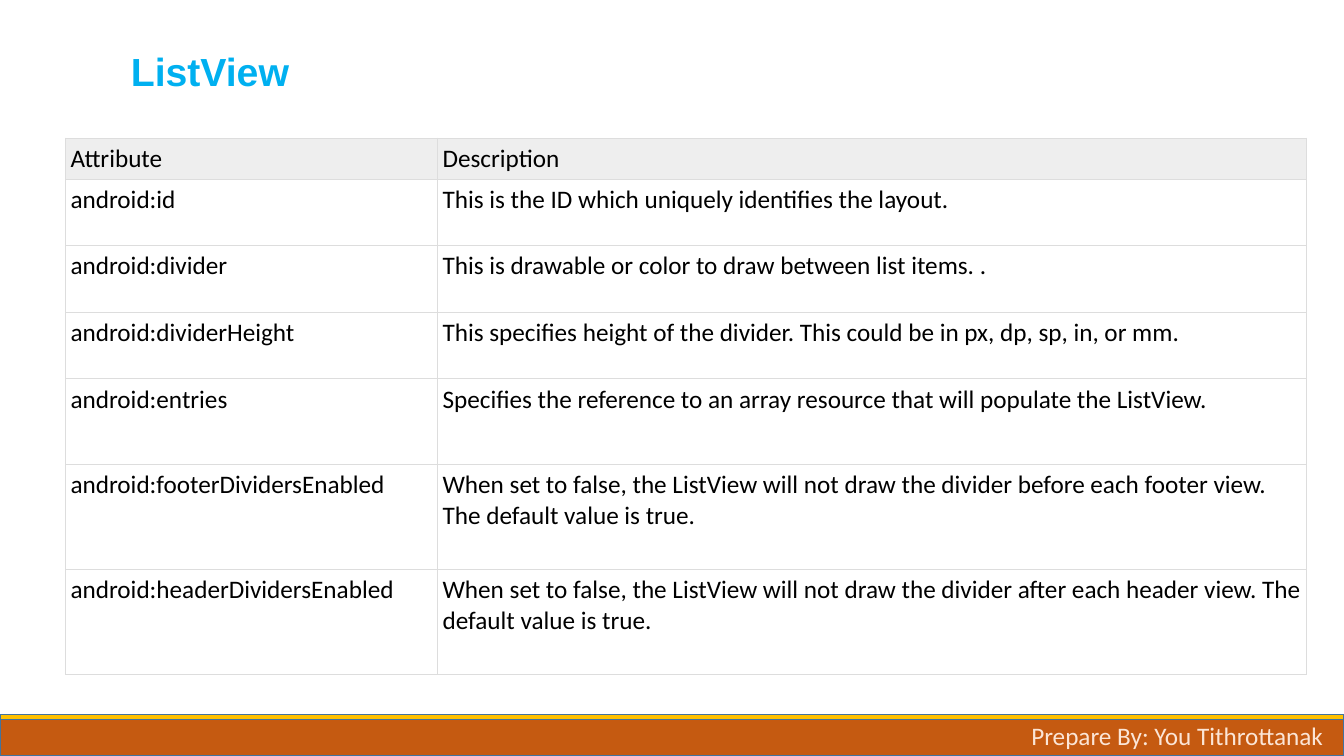
from lxml.etree import SubElement
from pptx import Presentation
from pptx.dml.color import RGBColor
from pptx.enum.shapes import MSO_SHAPE as Shape
from pptx.enum.text import MSO_ANCHOR as Anchor
from pptx.oxml.ns import qn
from pptx.util import Inches, Pt

SKY = RGBColor(0x00, 0xB0, 0xF0)
BLACK = RGBColor(0x00, 0x00, 0x00)
HEADER_GREY = RGBColor(0xEE, 0xEE, 0xEE)
BORDER_GREY = RGBColor(0xDD, 0xDD, 0xDD)
RUST = RGBColor(0xC5, 0x5A, 0x11)
GOLD = RGBColor(0xFF, 0xC0, 0x00)
OUTLINE_BLUE = RGBColor(0x43, 0x73, 0x9E)
PEACH = RGBColor(0xFB, 0xE5, 0xD6)

COLUMN_WIDTHS = (3.69, 8.62)
ATTRIBUTES = (
    (0.41, "Attribute", "Description"),
    (0.66, "android:id", "This is the ID which uniquely identifies the layout."),
    (0.66, "android:divider", "This is drawable or color to draw between list items. ."),
    (0.66, "android:dividerHeight",
     "This specifies height of the divider. This could be in px, dp, sp, in, or mm."),
    (0.85, "android:entries",
     "Specifies the reference to an array resource that will populate the ListView."),
    (1.04, "android:footerDividersEnabled",
     "When set to false, the ListView will not draw the divider before each footer view. "
     "The default value is true."),
    (1.04, "android:headerDividersEnabled",
     "When set to false, the ListView will not draw the divider after each header view. "
     "The default value is true."),
)


def set_font(paragraph, name, size, color, bold=False):
    """Set the font of a whole paragraph."""
    font = paragraph.font
    font.name, font.size, font.bold = name, Pt(size), bold
    font.color.rgb = color


def add_band(slide, height, color):
    """Add a full-width footer band."""
    band = slide.shapes.add_shape(
        Shape.RECTANGLE, 0, Inches(7.09), Inches(13.33), Inches(height))
    band.shadow.inherit = False
    band.fill.solid()
    band.fill.fore_color.rgb = color
    band.line.color.rgb = OUTLINE_BLUE
    band.line.width = Pt(1)


def add_label(slide, text, bounds, anchor, **font):
    """Add a one-line text box."""
    label = slide.shapes.add_textbox(*map(Inches, bounds)).text_frame
    label.word_wrap = True
    label.vertical_anchor = anchor
    label.text = text
    paragraph = label.paragraphs[0]
    set_font(paragraph, **font)
    return paragraph


def add_borders(cell):
    """Draw a thin line on all four sides of a cell."""
    properties = cell._tc.get_or_add_tcPr()
    for side in ("a:lnL", "a:lnR", "a:lnT", "a:lnB"):
        border = SubElement(properties, qn(side), w=str(Pt(0.75)))
        fill = SubElement(border, qn("a:solidFill"))
        SubElement(fill, qn("a:srgbClr"), val=str(BORDER_GREY))


def fill_cell(cell, text, is_header):
    """Write and style one table cell."""
    cell.margin_left = cell.margin_right = Inches(0.05)
    cell.margin_top = cell.margin_bottom = Inches(0.05)
    add_borders(cell)
    if is_header:
        cell.fill.solid()
        cell.fill.fore_color.rgb = HEADER_GREY
    else:
        cell.fill.background()
    cell.text = text
    set_font(cell.text_frame.paragraphs[0], "Calibri", 18, BLACK)


def add_attribute_table(slide):
    """Add the table of attributes and their descriptions."""
    table = slide.shapes.add_table(
        len(ATTRIBUTES), len(COLUMN_WIDTHS), Inches(0.65), Inches(1.37),
        Inches(sum(COLUMN_WIDTHS)), Inches(sum(row[0] for row in ATTRIBUTES))).table
    table.first_row = table.horz_banding = False
    for column, width in zip(table.columns, COLUMN_WIDTHS):
        column.width = Inches(width)
    for index, (height, *texts) in enumerate(ATTRIBUTES):
        table.rows[index].height = Inches(height)
        for cell, text in zip(table.rows[index].cells, texts):
            fill_cell(cell, text, index == 0)


def main():
    """Build the ListView slide."""
    deck = Presentation()
    deck.slide_width, deck.slide_height = Inches(13.33), Inches(7.5)
    slide = deck.slides.add_slide(deck.slide_layouts[6])
    add_band(slide, 0.41, RUST)
    add_band(slide, 0.05, GOLD)
    title = add_label(slide, "ListView", (1.2, 0.31, 11, 0.84), Anchor.MIDDLE,
                      name="Arial", size=28, color=SKY, bold=True)
    title.line_spacing = 0.9
    add_attribute_table(slide)
    add_label(slide, "Prepare By: You Tithrottanak", (10.13, 7.1, 3.21, 0.4), Anchor.TOP,
              name="Calibri", size=18, color=PEACH)
    deck.save("out.pptx")


if __name__ == "__main__":
    main()
